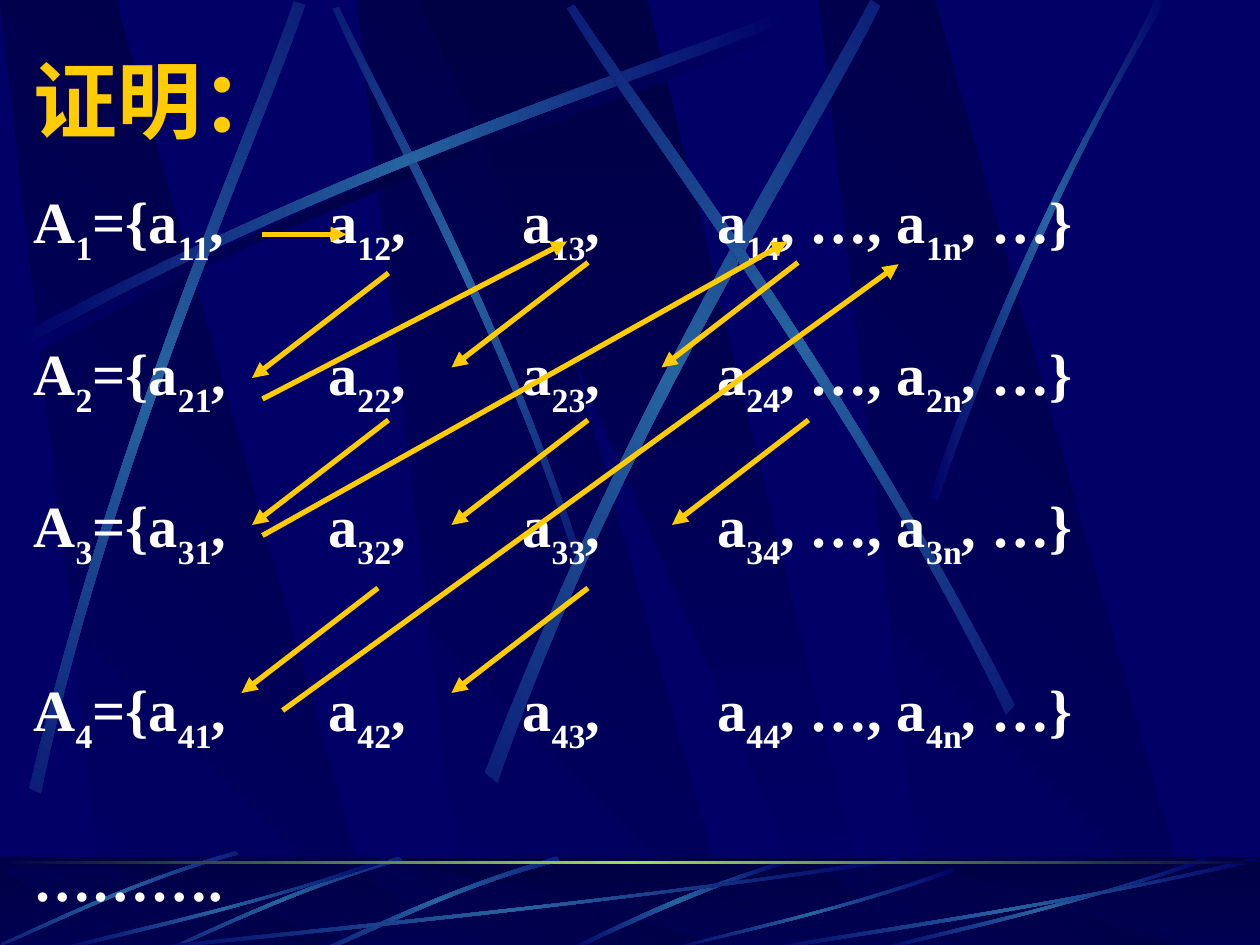
"""Builds a slide on the diagonal enumeration of countable sets."""
import math

import lxml.etree
import pptx
import pptx.dml.color
import pptx.enum.shapes
import pptx.enum.text
import pptx.oxml
import pptx.oxml.ns
import pptx.util

Pt = pptx.util.Pt
qn = pptx.oxml.ns.qn
RGB = pptx.dml.color.RGBColor.from_string
COLOURS = {"navy": "000066", "dark": "000044", "beam": "2663A0",
           "lime": "9CE157", "gold": "FFCC00", "white": "FFFFFF"}


def write(paragraph, text, size=33.3, colour="white", subscript=False):
    run = paragraph.add_run()
    run.text = text
    run.font.size = Pt(size)
    run.font.name = "Times New Roman"
    run.font.bold = True
    run.font.color.rgb = RGB(COLOURS[colour])
    if subscript:
        run.font._element.set("baseline", "-30000")


def paint(shape, names, angle=0):
    shape.shadow.inherit = False
    shape.line.fill.background()
    shape.fill.gradient()
    gradient = shape._element.spPr.find(qn("a:gradFill"))
    stops = gradient.find(qn("a:gsLst"))
    for stop in list(stops):
        stops.remove(stop)
    for index, name in enumerate(names):
        position = round(100000 * index / (len(names) - 1))
        stop = lxml.etree.SubElement(stops, qn("a:gs"), pos=str(position))
        lxml.etree.SubElement(stop, qn("a:srgbClr"), val=COLOURS[name])
    gradient.find(qn("a:lin")).set("ang", str(angle * 60000))


presentation = pptx.Presentation()
presentation.slide_width = Pt(720)
presentation.slide_height = Pt(540)
slide = presentation.slides.add_slide(presentation.slide_layouts[6])
slide.background.fill.solid()
slide.background.fill.fore_color.rgb = RGB(COLOURS["navy"])
shapes = slide.shapes

glow = ("navy", "beam", "navy")
streak = [(10, 192), (200, 90), (373, 37), (446, 7),
          (449, 12), (376, 44), (179, 103), (12, 199)]
upper_ribbons = [
    ([(x + 4, y + 6) for x, y in streak], 0, ("navy", "dark", "navy")),
    ([(331, 314), (282, 168), (217, 55), (194, 4),
      (190, 5), (212, 57), (287, 186), (327, 316)], 45, glow),
    (streak, 0, glow),
    ([(17, 450), (67, 240), (142, 76), (168, 1),
      (174, 3), (149, 78), (62, 265), (23, 453)], 311.7, glow),
    ([(277, 442), (359, 230), (459, 73), (498, 0),
      (503, 3), (467, 78), (350, 256), (284, 447)], 321.6, glow),
    ([(580, 403), (482, 211), (372, 68), (328, 3),
      (324, 5), (365, 73), (493, 234), (575, 408)], 34.8, glow),
    ([(531, 284), (586, 125), (639, 48), (660, 0),
      (667, 0), (602, 104), (554, 232), (536, 286)], 0, glow),
]
lower_ribbons = [
    ([(451.4, 491), (386.6, 510.5), (343.4, 534.2), (322.6, 542.9),
      (326.2, 543.6), (352.8, 530.6), (411.1, 504), (452.2, 493.2)], 0, glow),
]
blade = [(318.2, 489.6), (255.6, 507.6), (206.6, 532.8), (184.3, 542.2),
         (185, 543.6), (207.4, 535), (262.8, 506.2), (319.7, 491.8)]
for dx, dy in [(0, 0), (-90, 0), (-183.5, -3.5)]:
    lower_ribbons.append(([(x + dx, y + dy) for x, y in blade], 314.9, glow))
sweep = [(1, 0.04), (0.57, 0.57), (0.17, 0.85), (0.01, 1),
         (0, 0.99), (0.17, 0.81), (0.62, 0.51), (0.99, 0)]
for left, top, width, height in [(72, 489.6, 444, 54), (30, 489.6, 192, 54),
                                 (379.5, 496, 166, 47.5), (498, 489.6, 192, 54),
                                 (432, 489.6, 288, 54)]:
    lower_ribbons.append(
        ([(left + x * width, top + y * height) for x, y in sweep], 0, glow))

rectangle = pptx.enum.shapes.MSO_SHAPE.RECTANGLE
for top, bottom, ribbons in [(0, 541, upper_ribbons), (495.4, 543.6, lower_ribbons)]:
    if top:
        floor = shapes.add_shape(rectangle, 0, Pt(489.6), Pt(720), Pt(54))
        paint(floor, ("dark", "navy"), 90)

    panels = [([(x + 62, bottom), (x + 217.5, bottom), (x + 65.5, top), (x, top)],
               ("navy", "dark"), 315) for x in (204, 0, 468)]
    panels.append(([(240, top), (474, bottom), (500, bottom), (369.5, top)],
                   ("dark", "navy"), 90))
    for corners, names, angle in panels:
        pen = shapes.build_freeform(*corners[0], scale=Pt(1))
        pen.add_line_segments(corners[1:], close=True)
        paint(pen.convert_to_shape(), names, angle)

    if top:
        veil = shapes.add_shape(rectangle, 0, Pt(489.6), Pt(720), Pt(54))
        veil.shadow.inherit = False
        veil.line.fill.background()
        veil.fill.solid()
        veil.fill.fore_color.rgb = RGB(COLOURS["dark"])
        tint = veil._element.spPr.find(qn("a:solidFill"))[0]
        lxml.etree.SubElement(tint, qn("a:alpha"), val="50000")

    for controls, rotation, names in ribbons:
        cos = math.cos(math.radians(rotation))
        sin = math.sin(math.radians(rotation))
        level = [(x * cos + y * sin, y * cos - x * sin) for x, y in controls]
        pen = shapes.build_freeform(*level[0], scale=Pt(1))
        pen.add_line_segments(level[1:], close=True)
        ribbon = pen.convert_to_shape()
        cx = ribbon.left + ribbon.width / 2
        cy = ribbon.top + ribbon.height / 2
        ribbon.left = round(cx * cos - cy * sin - ribbon.width / 2)
        ribbon.top = round(cx * sin + cy * cos - ribbon.height / 2)
        ribbon.rotation = rotation
        segments = list(ribbon._element.spPr.iter(qn("a:lnTo")))
        for first in (0, 4):
            curve = lxml.etree.Element(qn("a:cubicBezTo"))
            segments[first].addprevious(curve)
            for segment in segments[first:first + 3]:
                curve.append(segment[0])
                segment.getparent().remove(segment)
        paint(ribbon, names)

divider = shapes.add_shape(rectangle, 0, Pt(492.2), Pt(720), Pt(1.8))
paint(divider, ("dark", "lime", "dark"))

title = shapes.add_textbox(Pt(12), Pt(24), Pt(612), Pt(65)).text_frame
title.word_wrap = True
title.vertical_anchor = pptx.enum.text.MSO_ANCHOR.MIDDLE
write(title.paragraphs[0], "证明：", size=48, colour="gold")

sets = shapes.add_textbox(Pt(12), Pt(102), Pt(696), Pt(426)).text_frame
sets.word_wrap = True
sets.margin_top = Pt(6.3)
for row, gap in enumerate((0, 42.4, 42.4, 60.6), start=1):
    members = sets.paragraphs[0] if row == 1 else sets.add_paragraph()
    tabs = lxml.etree.SubElement(members._p.get_or_add_pPr(), qn("a:tabLst"))
    for stop in (168.5, 279.5, 390.8):
        lxml.etree.SubElement(tabs, qn("a:tab"), pos=str(Pt(stop)), algn="l")
    members.line_spacing = Pt(44.5)
    if gap:
        members.space_before = Pt(gap)
    for text, index in [("A", ""), ("={a", "1"), (",\ta", "2"), (",\ta", "3"),
                        (",\ta", "4"), (", …, a", "n")]:
        write(members, text)
        write(members, f"{row}{index}", subscript=True)
    write(members, ", …}")
continuation = sets.add_paragraph()
continuation.line_spacing = Pt(44.5)
continuation.space_before = Pt(45.7)
write(continuation, "……….")

arrows = [((x, y), (x - 78, y + 60)) for x, y in
          [(222, 156), (336, 150), (456, 150), (222, 240),
           (336, 240), (462, 240), (216, 336), (336, 336)]]
arrows += [((150, 134), (198, 134)), ((150, 228), (324, 138)),
           ((150, 306), (450, 138)), ((161.5, 406), (513.5, 151))]
for start, end in arrows:
    arrow = shapes.add_connector(pptx.enum.shapes.MSO_CONNECTOR.STRAIGHT,
                                 *map(Pt, start + end))
    arrow.line.width = Pt(3)
    arrow.line.color.rgb = RGB(COLOURS["gold"])
    lxml.etree.SubElement(arrow.line._get_or_add_ln(), qn("a:tailEnd"), type="triangle")
    lxml.etree.SubElement(arrow._element.spPr, qn("a:effectLst"))

presentation.save("out.pptx")
